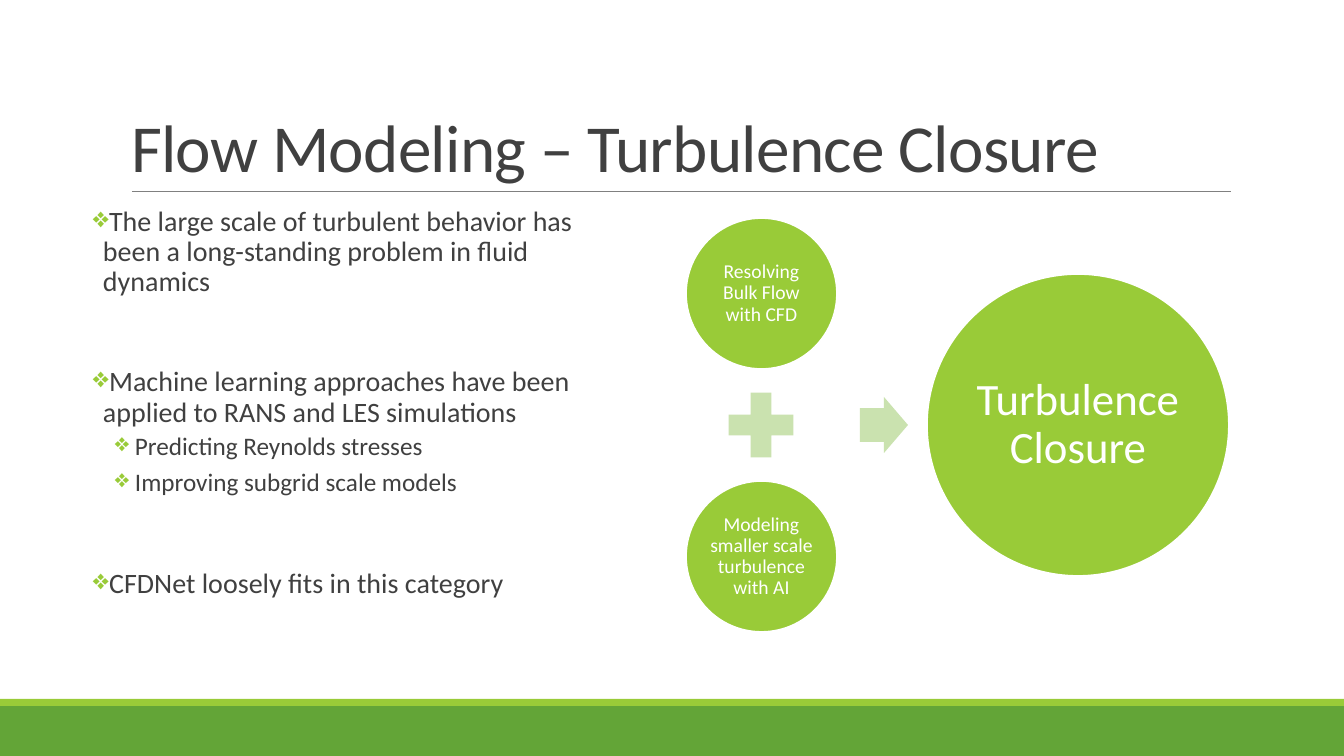
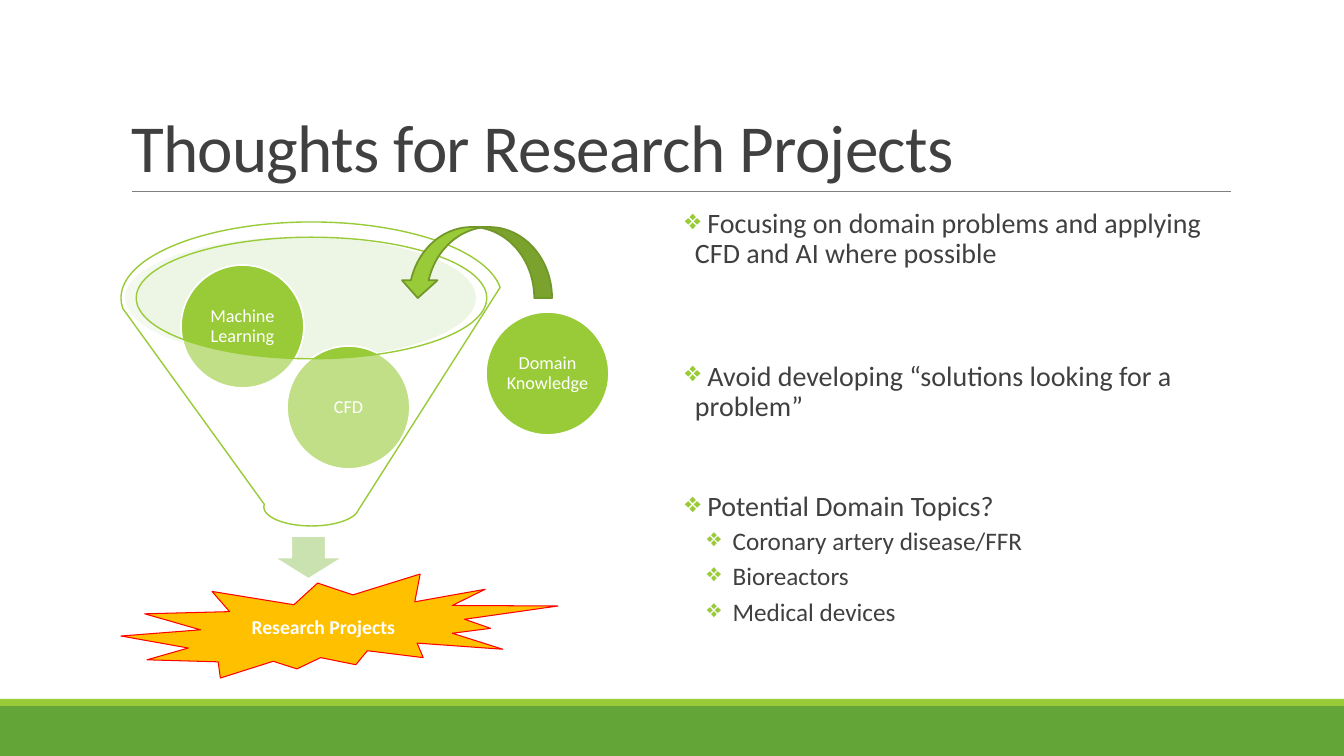
from lxml import etree
from pptx import Presentation
from pptx.dml.color import RGBColor
from pptx.enum.shapes import MSO_CONNECTOR, MSO_SHAPE
from pptx.enum.text import MSO_ANCHOR, MSO_AUTO_SIZE, PP_ALIGN
from pptx.oxml.ns import qn
from pptx.util import Pt

PX = 9072  # EMU per px
WIDTH, HEIGHT = 1344, 756
FONT = "Calibri"
GREEN, DARK_GREEN, PALE_GREEN = "99CB38", "63A537", "CAE2AF"
WHITE, TEXT = "FFFFFF", "404040"
OVAL, RECT = MSO_SHAPE.OVAL, MSO_SHAPE.RECTANGLE
LEFT, CENTER = PP_ALIGN.LEFT, PP_ALIGN.CENTER
rgb = RGBColor.from_string


def add_shape(s, kind, box, fill, line=None, width=1.25, opacity=None,
              text="", size=14, bold=False):
    """Add a filled shape; box is left, top, width, height in px."""
    sp = s.shapes.add_shape(kind, *(v * PX for v in box))
    sp.shadow.inherit = False
    sp.fill.solid()
    sp.fill.fore_color.rgb = rgb(fill)
    if opacity:
        color = sp.element.spPr.find(".//" + qn("a:srgbClr"))
        etree.SubElement(color, qn("a:alpha"), val=str(opacity * 1000))
    if line:
        sp.line.color.rgb = rgb(line)
        sp.line.width = Pt(width)
    else:
        sp.line.fill.background()
    if text:
        tf = sp.text_frame
        tf.word_wrap = True
        tf.vertical_anchor = MSO_ANCHOR.MIDDLE
        tf.margin_left = tf.margin_right = tf.margin_top = tf.margin_bottom = 2 * PX
        p = tf.paragraphs[0]
        p.text = text
        p.alignment = CENTER
        p.line_spacing = 0.9
        font = p.runs[0].font
        font.name, font.size, font.bold = FONT, Pt(size), bold
        font.color.rgb = rgb(WHITE)
    return sp


def add_bullets(s, box, items):
    """Add a bulleted text box; items are (level, space before in pt, text)."""
    tf = s.shapes.add_textbox(*(v * PX for v in box)).text_frame
    tf.word_wrap = True
    tf.margin_left = tf.margin_right = 0
    for i, (level, before, text) in enumerate(items):
        p = tf.add_paragraph() if i else tf.paragraphs[0]
        p.text = text
        p.level = level
        p.line_spacing = 0.9
        p.space_before = Pt(before)
        p.space_after = Pt(4 if level else 2)
        font = p.runs[0].font
        font.name, font.size = FONT, Pt(18 if level else 20)
        font.color.rgb = rgb(TEXT)
        margin, hang = (42, 20) if level else (10, 10)
        pPr = p._p.get_or_add_pPr()
        pPr.set("marL", str(margin * PX))
        pPr.set("indent", str(-hang * PX))
        color = etree.SubElement(pPr, qn("a:buClr"))
        etree.SubElement(color, qn("a:srgbClr"), val=GREEN)
        etree.SubElement(pPr, qn("a:buChar"), char="❖")


prs = Presentation()
prs.slide_width, prs.slide_height = WIDTH * PX, HEIGHT * PX

# Shared frame: bands, rule and title
slides = []
for title in ("Flow Modeling – Turbulence Closure", "Thoughts for Research Projects"):
    s = prs.slides.add_slide(prs.slide_layouts[5])
    slides.append(s)
    add_shape(s, RECT, (0, 706, WIDTH, 50), DARK_GREEN)
    add_shape(s, RECT, (0, 699, WIDTH, 7), GREEN)

    rule = s.shapes.add_connector(MSO_CONNECTOR.STRAIGHT, 132 * PX, 191 * PX, 1231 * PX, 191 * PX)
    rule.line.color.rgb = rgb("808080")
    rule.line.width = Pt(0.5)
    etree.SubElement(rule.element.spPr, qn("a:effectLst"))

    sp = s.shapes.title
    sp.left, sp.top, sp.width, sp.height = (v * PX for v in (121, 31, 1109, 160))
    tf = sp.text_frame
    tf.text = title
    tf.word_wrap = True
    tf.auto_size = MSO_AUTO_SIZE.NONE
    tf.vertical_anchor = MSO_ANCHOR.BOTTOM
    p = tf.paragraphs[0]
    p.alignment = LEFT
    p.line_spacing = 0.85
    r = p.runs[0]
    r.font.name, r.font.size = FONT, Pt(48)
    r.font.color.rgb = rgb(TEXT)
    r._r.get_or_add_rPr().set("spc", "-50")

flow, projects = slides

# Flow modeling
add_bullets(flow, (93, 202, 533, 480), [
    (0, 0, "The large scale of turbulent behavior has been a long-standing problem in fluid dynamics"),
    (0, 48, "Machine learning approaches have been applied to RANS and LES simulations"),
    (1, 2, "Predicting Reynolds stresses"),
    (1, 2, "Improving subgrid scale models"),
    (0, 48, "CFDNet loosely fits in this category"),
])
for box, text, size in [
    ((686, 218, 151, 151), "Resolving Bulk Flow with CFD", 14),
    ((686, 481, 151, 151), "Modeling smaller scale turbulence with AI", 14),
    ((927, 274, 302, 302), "Turbulence Closure", 32),
]:
    add_shape(flow, OVAL, box, GREEN, WHITE, text=text, size=size)
add_shape(flow, MSO_SHAPE.MATH_PLUS, (717, 381, 88, 88), PALE_GREEN)
arrow = add_shape(flow, MSO_SHAPE.RIGHT_ARROW, (860, 397, 48, 56), PALE_GREEN)
arrow.adjustments[0], arrow.adjustments[1] = 0.6, 0.5

# Research projects
add_shape(projects, OVAL, (125, 237, 351, 122), "D4E7BF", opacity=40)
add_shape(projects, MSO_SHAPE.DOWN_ARROW, (274, 536, 69, 43), PALE_GREEN, WHITE)
add_shape(projects, MSO_SHAPE.EXPLOSION2, (121, 574, 437, 104), "FFC000", "FF0000", 0.75,
          text="Research Projects", bold=True)
for left, top, text in [
    (287, 346, "CFD"),
    (181, 265, "Machine Learning"),
    (486, 312, "Domain Knowledge"),
]:
    add_shape(projects, OVAL, (left, top, 123, 123), GREEN, WHITE, text=text, size=13)
add_shape(projects, MSO_SHAPE.FUNNEL, (121, 222, 381, 304), WHITE, GREEN, 1, opacity=40)
add_bullets(projects, (685, 204, 544, 444), [
    (0, 0, " Focusing on domain problems and applying CFD and AI where possible"),
    (0, 64, " Avoid developing “solutions looking for a problem”"),
    (0, 48, " Potential Domain Topics?"),
    (1, 2, " Coronary artery disease/FFR"),
    (1, 2, " Bioreactors"),
    (1, 2, " Medical devices"),
])
arrow = add_shape(projects, MSO_SHAPE.CURVED_UP_ARROW, (400, 227, 152, 71), GREEN, "719629")
arrow.rotation = 180

prs.save("out.pptx")
